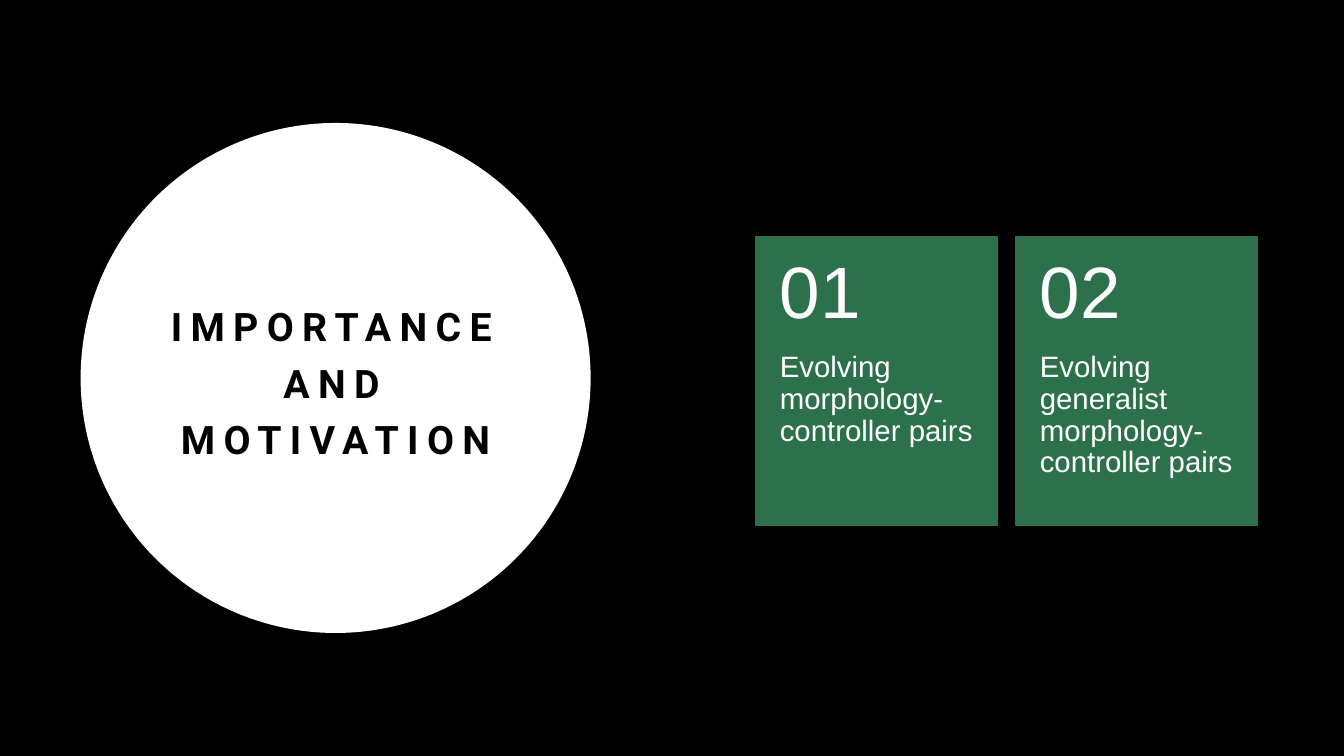
from pptx import Presentation
from pptx.dml.color import RGBColor
from pptx.enum.shapes import MSO_SHAPE as Shape
from pptx.enum.text import MSO_ANCHOR as Anchor, PP_ALIGN as Align
from pptx.util import Pt

BLACK, WHITE, GREEN = "000000", "FFFFFF", "2D714C"
CARDS = [
    ("01", "Evolving morphology-controller pairs"),
    ("02", "Evolving generalist morphology-controller pairs"),
]


def color(hex_string):
    return RGBColor.from_string(hex_string)


def add_panel(page, kind, box, fill):
    panel = page.shapes.add_shape(kind, *map(Pt, box))
    panel.shadow.inherit = False
    panel.fill.solid()
    panel.fill.fore_color.rgb = color(fill)
    panel.line.fill.background()
    return panel


def add_text(page, box, text, size, font, ink, anchor, insets, line_spacing):
    frame = page.shapes.add_textbox(*map(Pt, box)).text_frame
    frame.word_wrap = True
    frame.vertical_anchor = anchor
    (frame.margin_left, frame.margin_top,
     frame.margin_right, frame.margin_bottom) = map(Pt, insets)
    frame.text = text
    para = frame.paragraphs[0]
    para.line_spacing = line_spacing
    span = para.runs[0]
    span.font.size = Pt(size)
    span.font.name = font
    span.font.color.rgb = color(ink)
    return para


def add_title_circle(page, left, top, size):
    add_panel(page, Shape.OVAL, (left, top, size, size), WHITE)
    width, height = 287.3, 180
    title_box = (left + (size - width) / 2, top + (size - height) / 2, width, height)
    para = add_text(page, title_box, "IMPORTANCE AND MOTIVATION", 28, "Roboto",
                    BLACK, Anchor.MIDDLE, (7.2, 3.6, 7.2, 3.6), 1.2)
    para.alignment = Align.CENTER
    span = para.runs[0]
    span.font.bold = True
    span.font._element.set("spc", "600")


def add_card(page, left, top, width, height, number, text):
    panel = add_panel(page, Shape.RECTANGLE, (left, top, width, height), GREEN)
    panel.line.color.rgb = color(GREEN)
    panel.line.width = Pt(1)
    head = height * 0.4
    add_text(page, (left, top + head, width, height - head), text, 21, "Arial",
             WHITE, Anchor.TOP, (17, 0, 17, 26), 0.9)
    add_text(page, (left, top, width, head), number, 52, "Arial",
             WHITE, Anchor.MIDDLE, (17, 13, 17, 13), 0.9)


def add_cards(page, left, top, width, height, gap):
    card_width = (width - gap * (len(CARDS) - 1)) / len(CARDS)
    for index, (number, text) in enumerate(CARDS):
        add_card(page, left + index * (card_width + gap), top,
                 card_width, height, number, text)


def main():
    deck = Presentation()
    deck.slide_width, deck.slide_height = Pt(960), Pt(540)
    page = deck.slides.add_slide(deck.slide_layouts[6])
    page.background.fill.solid()
    page.background.fill.fore_color.rgb = color(BLACK)
    add_title_circle(page, 57.6, 87.84, 364.3)
    add_cards(page, 540, 169.2, 357.8, 206, 13.6)
    deck.save("out.pptx")


if __name__ == "__main__":
    main()
